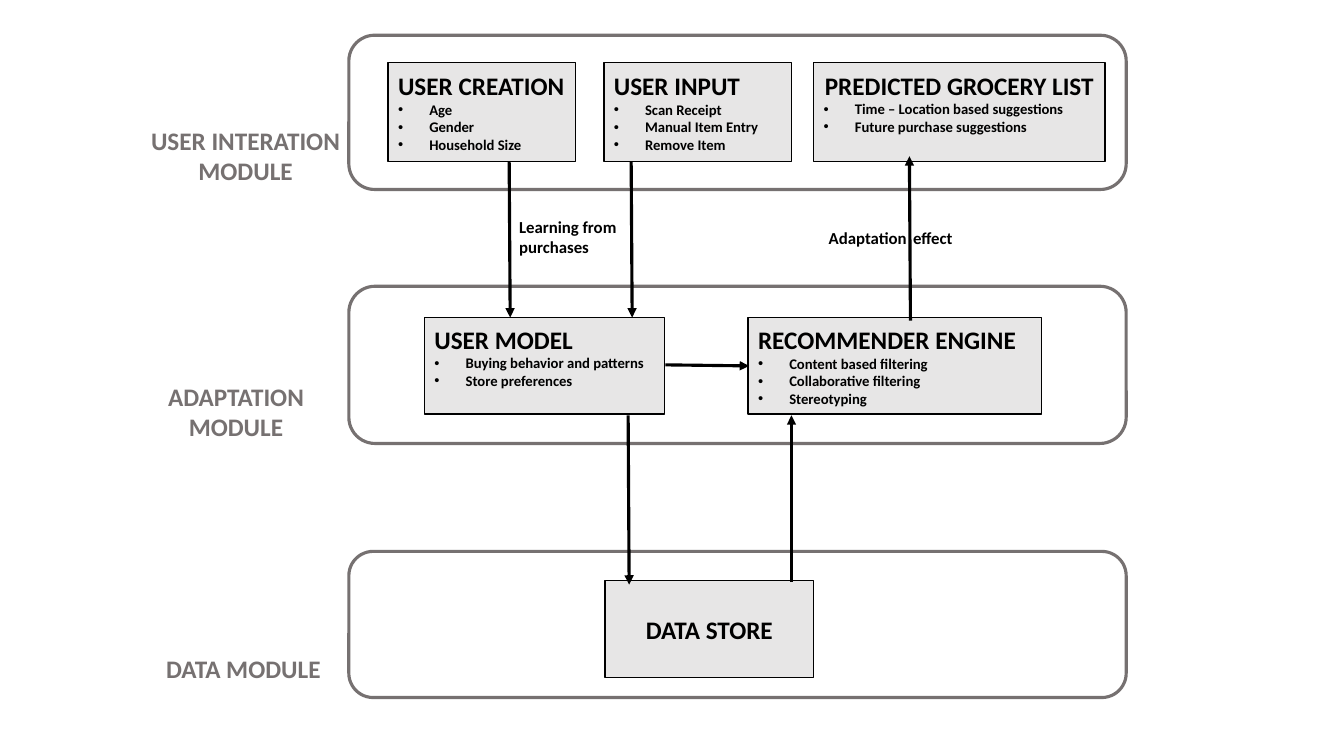
from dataclasses import dataclass

from lxml import etree
from pptx import Presentation
from pptx.dml.color import RGBColor
from pptx.enum.shapes import MSO_CONNECTOR, MSO_SHAPE
from pptx.enum.text import MSO_ANCHOR, PP_ALIGN
from pptx.oxml.ns import qn
from pptx.util import Inches, Pt

LEFT, CENTER = PP_ALIGN.LEFT, PP_ALIGN.CENTER
TOP, MIDDLE = MSO_ANCHOR.TOP, MSO_ANCHOR.MIDDLE
ROUND, RECT = MSO_SHAPE.ROUNDED_RECTANGLE, MSO_SHAPE.RECTANGLE
STRAIGHT = MSO_CONNECTOR.STRAIGHT


@dataclass(frozen=True)
class Theme:
    font: str = "Calibri"
    ink: RGBColor = RGBColor(0, 0, 0)
    gray: RGBColor = RGBColor(0x76, 0x71, 0x71)
    pale: RGBColor = RGBColor(0xE7, 0xE6, 0xE6)
    white: RGBColor = RGBColor(255, 255, 255)
    head: float = 18
    item: float = 10.5
    note: float = 12
    gap: float = 20
    thin: float = 1
    bold: float = 2.25


THEME = Theme()
LANE_X, LANE_W = 3.46, 7.71
ROW = 0.18  # height of one bullet line
ROWS = 3  # bullet lines a card has room for

# Lanes: top, height, label, cards. Places are offsets from the lane's corner.
# Label: lines, x, y, width, height, align, anchor.
# Card: title, items, x, y, width, height, title align.
LANES = [
    (0.35, 1.53,
     (["USER INTERATION", "MODULE"], -2.12, 0.84, 2.19, 0.71, CENTER, TOP),
     [("USER CREATION", ["Age", "Gender", "Household Size"],
       0.39, 0.27, 1.86, 0.98, LEFT),
      ("USER INPUT", ["Scan Receipt", "Manual Item Entry", "Remove Item"],
       2.53, 0.27, 1.86, 0.98, LEFT),
      ("PREDICTED GROCERY LIST",
       ["Time – Location based suggestions", "Future purchase suggestions"],
       4.61, 0.27, 2.89, 0.98, CENTER)]),
    (2.84, 1.56,
     (["ADAPTATION MODULE"], -2.01, 0.89, 1.78, 0.71, CENTER, TOP),
     [("USER MODEL", ["Buying behavior and patterns", "Store preferences"],
       0.75, 0.31, 2.38, 0.96, LEFT),
      ("RECOMMENDER ENGINE",
       ["Content based filtering", "Collaborative filtering", "Stereotyping"],
       3.96, 0.31, 2.91, 0.96, LEFT)]),
    (5.47, 1.45,
     (["DATA MODULE"], -1.91, 0.96, 1.78, 0.4, LEFT, MIDDLE),
     [("DATA STORE", [], 2.54, 0.29, 2.07, 0.96, CENTER)]),
]

ARROWS = [
    (9.03, 3.18, 9.02, 1.55),
    (7.85, 5.77, 7.85, 4.12),
    (6.6, 3.62, 7.43, 3.63),
    (6.23, 4.12, 6.24, 5.8),
    (6.26, 1.6, 6.27, 3.15),
    (5.05, 1.6, 5.06, 3.15),
]


def write(par, text, size=THEME.head, color=THEME.ink, bold=True):
    run = par.add_run()
    run.text = text
    font = run.font
    font.name, font.size, font.bold = THEME.font, Pt(size), bold
    font.color.rgb = color


def next_par(frame, index):
    return frame.add_paragraph() if index else frame.paragraphs[0]


def add_bullet(par):
    props = par._p.get_or_add_pPr()
    props.set("marL", str(Inches(0.31)))
    props.set("indent", str(Inches(-0.31)))
    etree.SubElement(props, qn("a:buFont")).set("typeface", "Arial")
    etree.SubElement(props, qn("a:buChar")).set("char", "•")


def add_panel(slide, kind, box, fill, line, width):
    shape = slide.shapes.add_shape(kind, *map(Inches, box))
    shape.shadow.inherit = False
    shape.fill.solid()
    shape.fill.fore_color.rgb = fill
    shape.line.color.rgb = line
    shape.line.width = Pt(width)
    return shape


def add_text(slide, box, anchor=TOP):
    frame = slide.shapes.add_textbox(*map(Inches, box)).text_frame
    frame.word_wrap = True
    frame.vertical_anchor = anchor
    return frame


def add_card(slide, box, title, items, align):
    """Draw a titled box; a short list keeps its title level with full ones."""
    card = add_panel(slide, RECT, box, THEME.pale, THEME.ink, THEME.thin)
    frame = card.text_frame
    frame.word_wrap = True
    frame.vertical_anchor = MIDDLE
    if items:
        frame.margin_bottom = Inches(0.05 + ROW * (ROWS - len(items)))
    head = frame.paragraphs[0]
    head.alignment = align
    write(head, title)
    for item in items:
        par = frame.add_paragraph()
        par.alignment = LEFT
        add_bullet(par)
        write(par, item, size=THEME.item)


def add_label(slide, box, lines, align, anchor):
    frame = add_text(slide, box, anchor)
    for index, line in enumerate(lines):
        par = next_par(frame, index)
        par.alignment = align
        write(par, line, color=THEME.gray)


def add_lane(slide, box, label, cards):
    left, top = box[:2]
    add_panel(slide, ROUND, box, THEME.white, THEME.gray, THEME.bold)
    for title, items, x, y, wide, high, align in cards:
        add_card(slide, (left + x, top + y, wide, high), title, items, align)
    lines, x, y, wide, high, align, anchor = label
    add_label(slide, (left + x, top + y, wide, high), lines, align, anchor)


def add_arrow(slide, ends):
    arrow = slide.shapes.add_connector(STRAIGHT, *map(Inches, ends))
    arrow.line.color.rgb = THEME.ink
    arrow.line.width = Pt(THEME.bold)
    line = arrow.line._get_or_add_ln()
    etree.SubElement(line, qn("a:tailEnd")).set("type", "triangle")
    etree.SubElement(arrow._element.spPr, qn("a:effectLst"))


def add_notes(slide):
    """Write the captions beside the arrows."""
    effect = add_text(slide, (8.12, 2.1, 2.22, 0.44)).paragraphs[0]
    write(effect, "Adaptation", size=THEME.note)
    write(effect, " ", size=THEME.gap, bold=False)
    write(effect, "effect", size=THEME.note)
    learn = add_text(slide, (5.05, 2.1, 1.56, 0.5)).paragraphs[0]
    write(learn, "Learning from purchases", size=THEME.note)


def main():
    deck = Presentation()
    deck.slide_width, deck.slide_height = Inches(13.33), Inches(7.5)
    slide = deck.slides.add_slide(deck.slide_layouts[6])
    for top, high, label, cards in LANES:
        add_lane(slide, (LANE_X, top, LANE_W, high), label, cards)
    for ends in ARROWS:
        add_arrow(slide, ends)
    add_notes(slide)
    deck.save("out.pptx")


if __name__ == "__main__":
    main()
